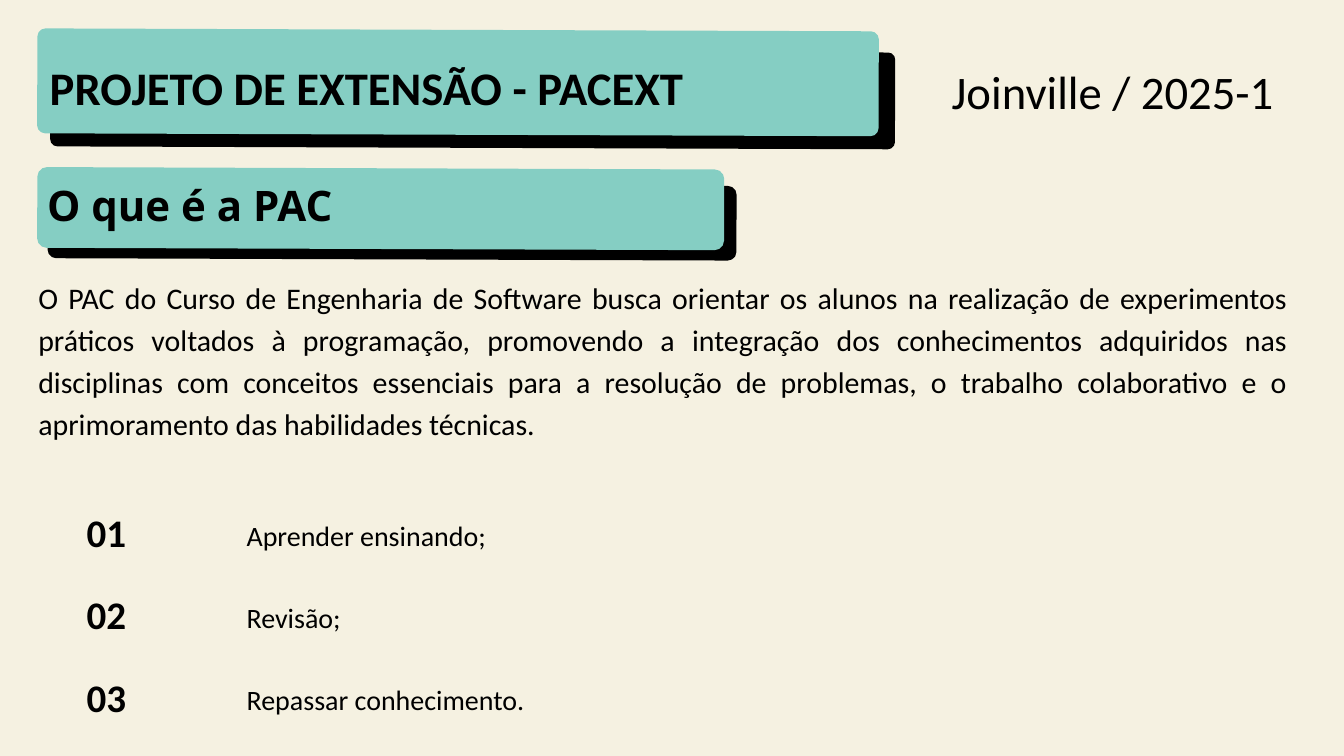
from pptx import Presentation
from pptx.dml.color import RGBColor as RGB
from pptx.enum.shapes import MSO_SHAPE as SHAPE
from pptx.enum.text import MSO_ANCHOR as ANCHOR, MSO_AUTO_SIZE as AUTO, PP_ALIGN as ALIGN
from pptx.util import Inches, Pt

COLORS = {"paper": "F5F1E1", "teal": "85CEC3", "ink": "000000"}
COLS, ROWS = 80, 45
LEADING = 1.4


class Deck:
    """Holds the style, the grid and the current slide."""

    def __init__(self):
        self.prs = Presentation()
        self.prs.slide_width, self.prs.slide_height = Inches(20), Inches(11.25)
        self.col = self.prs.slide_width / COLS
        self.row = self.prs.slide_height / ROWS

    def color(self, name):
        return RGB.from_string(COLORS[name])

    def box(self, x, y, w, h):
        return (round(x * self.col), round(y * self.row),
                round(w * self.col), round(h * self.row))

    def add_slide(self):
        self.s = self.prs.slides.add_slide(self.prs.slide_layouts[5])
        fill = self.s.background.fill
        fill.solid()
        fill.fore_color.rgb = self.color("paper")

    def plate(self, box, color, radius, outline=False):
        sp = self.s.shapes.add_shape(SHAPE.ROUNDED_RECTANGLE, *self.box(*box))
        sp.adjustments[0] = radius / box[3]
        sp.rotation = 0.2
        sp.shadow.inherit = False
        sp.fill.solid()
        sp.fill.fore_color.rgb = self.color(color)
        if outline:
            sp.line.color.rgb = self.color(color)
            sp.line.width = Pt(2.25)
        else:
            sp.line.fill.background()

    def banner(self, shade, face, radius):
        self.plate(shade, "ink", radius)
        self.plate(face, "teal", radius, outline=True)

    def set_text(self, sp, text, size, bold=False, align=ALIGN.LEFT, font="Calibri"):
        tf = sp.text_frame
        tf.text = text
        tf.word_wrap = True
        tf.auto_size = AUTO.NONE
        tf.vertical_anchor = ANCHOR.TOP
        tf.margin_left = tf.margin_right = tf.margin_top = tf.margin_bottom = 0
        p = tf.paragraphs[0]
        p.alignment = align
        p.line_spacing = Pt(round(size * LEADING, 1))
        p.space_before = Pt(0)
        r = p.runs[0]
        r.font.name, r.font.size, r.font.bold = font, Pt(size), bold
        r.font.color.rgb = self.color("ink")

    def text(self, box, text, size, **style):
        self.set_text(self.s.shapes.add_textbox(*self.box(*box)), text, size, **style)

    def title(self, box, text, size):
        sp = self.s.shapes.title
        sp.left, sp.top, sp.width, sp.height = self.box(*box)
        self.set_text(sp, text, size, bold=True)
        # Bring the title in front of its banner
        sp.element.getparent().append(sp.element)


def main():
    deck = Deck()
    deck.add_slide()

    # Header: title and date
    deck.banner((3, 3.04, 50.28, 5.76), (2.28, 1.84, 49.96, 6.12), 0.42)
    deck.title((2.96, 2.92, 48.96, 3.76), "PROJETO DE EXTENSÃO - PACEXT", 50)
    deck.text((54.44, 3.16, 23.6, 3.76), "Joinville / 2025-1", 50, align=ALIGN.CENTER)

    # Section heading
    deck.banner((2.84, 11, 41, 4.44), (2.28, 10.08, 40.76, 4.68), 0.51)
    deck.text((2.8, 10.2, 38.76, 3.32), "O que é a PAC", 45, bold=True, font="Open Sans")

    # Description
    deck.text((2.28, 16.32, 74.4, 12.52),
              "O PAC do Curso de Engenharia de Software busca orientar os alunos na "
              "realização de experimentos práticos voltados à programação, promovendo a "
              "integração dos conhecimentos adquiridos nas disciplinas com conceitos "
              "essenciais para a resolução de problemas, o trabalho colaborativo e o "
              "aprimoramento das habilidades técnicas.", 32, align=ALIGN.JUSTIFY)

    # Numbered goals
    goals = [("Aprender ensinando;", 51.88), ("Revisão;", 56.4),
             ("Repassar conhecimento.", 46.56)]
    for i, (goal, width) in enumerate(goals):
        y = 29.8 + 4.9 * i
        deck.text((5.16, y, 6.76, 3.08), f"{i + 1:02}", 41.8, bold=True)
        deck.text((14.68, y + 0.72, width, 2.28), goal, 30)

    deck.prs.save("out.pptx")


if __name__ == "__main__":
    main()
